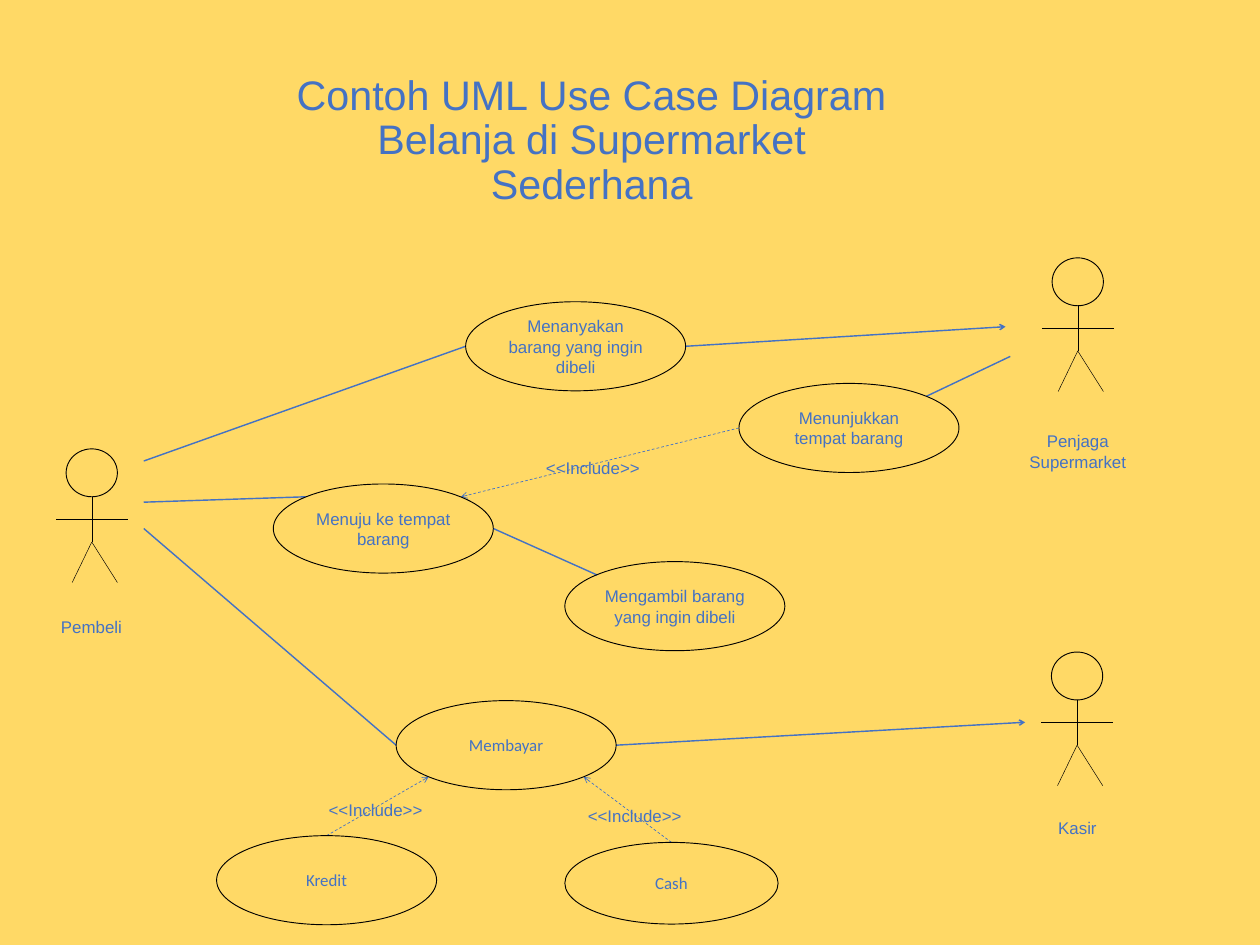
from lxml import etree
from pptx import Presentation
from pptx.dml.color import RGBColor
from pptx.enum.dml import MSO_LINE
from pptx.enum.shapes import MSO_CONNECTOR, MSO_SHAPE
from pptx.enum.text import MSO_ANCHOR, MSO_AUTO_SIZE, PP_ALIGN
from pptx.oxml.ns import qn
from pptx.util import Inches, Pt

STRAIGHT = MSO_CONNECTOR.STRAIGHT
OVAL = MSO_SHAPE.OVAL
LABEL_BOX = MSO_SHAPE.FLOWCHART_PROCESS
DASH = MSO_LINE.DASH
CENTER = PP_ALIGN.CENTER
MIDDLE = MSO_ANCHOR.MIDDLE
NO_AUTOFIT = MSO_AUTO_SIZE.NONE

YELLOW, BLUE, BLACK = "FFD966", "4472C4", "000000"


def rgb(hex_color):
    return RGBColor.from_string(hex_color)


def add_line(start, end, color, width, dashed=False, arrow=False):
    line = slide.shapes.add_connector(STRAIGHT, *map(Inches, start + end))
    line.line.color.rgb = rgb(color)
    line.line.width = Pt(width)
    if dashed:
        line.line.dash_style = DASH
    if arrow:
        outline = line._element.spPr.find(qn("a:ln"))
        etree.SubElement(outline, qn("a:tailEnd"), type="arrow")
    etree.SubElement(line._element.spPr, qn("a:effectLst"))


prs = Presentation()
prs.slide_width, prs.slide_height = Inches(18.67), Inches(14)
slide = prs.slides.add_slide(prs.slide_layouts[5])
slide.background.fill.solid()
slide.background.fill.fore_color.rgb = rgb(YELLOW)

title = slide.shapes.title
title.left, title.top = Inches(4.05), Inches(1.46)
title.width, title.height = Inches(9.44), Inches(1.27)
title.text_frame.text = "Contoh UML Use Case Diagram Belanja di Supermarket Sederhana"
title.text_frame.word_wrap = True
title.text_frame.auto_size = NO_AUTOFIT
title.text_frame.vertical_anchor = MIDDLE
heading = title.text_frame.paragraphs[0]
heading.alignment = CENTER
heading.line_spacing = 0.9
heading.font.name, heading.font.size = "Arial", Pt(44)
heading.font.color.rgb = rgb(BLUE)

# Actors: centre of the body and top of the head
for x, y in [(1.36, 6.65), (15.97, 3.82), (15.96, 9.66)]:
    head = slide.shapes.add_shape(
        OVAL, Inches(x - 0.38), Inches(y), Inches(0.76), Inches(0.71))
    head.shadow.inherit = False
    head.fill.solid()
    head.fill.fore_color.rgb = rgb(YELLOW)
    head.line.color.rgb = rgb(BLACK)
    head.line.width = Pt(1)
    hip = (x, y + 1.38)
    for start, end in [
        ((x, y + 0.71), hip),
        ((x - 0.53, y + 1.04), (x + 0.53, y + 1.04)),
        (hip, (x - 0.29, y + 1.98)),
        (hip, (x + 0.38, y + 1.98)),
    ]:
        add_line(start, end, BLACK, 0.5)

# Associations: start, end, arrow
for start, end, arrow in [
    ((2.13, 6.83), (6.9, 5.13), False),
    ((10.16, 5.13), (14.9, 4.84), True),
    ((13.73, 5.87), (14.97, 5.28), False),
    ((2.13, 7.44), (4.53, 7.36), False),
    ((7.31, 7.83), (8.85, 8.52), False),
    ((2.13, 7.83), (5.87, 11.04), False),
    ((9.13, 11.04), (15.19, 10.7), True),
]:
    add_line(start, end, BLUE, 1.5, arrow=arrow)

# Include relations
for start, end in [
    ((4.84, 12.38), (6.35, 11.51)),
    ((9.95, 12.48), (8.65, 11.51)),
    ((10.95, 6.34), (6.83, 7.36)),
]:
    add_line(start, end, BLUE, 0.75, dashed=True, arrow=True)

USE_CASE_SIZE = (3.26, 1.32)
INCLUDE_SIZE = (2.07, 0.65)
ACTOR_SIZE = (1.61, 0.44)
INCLUDE = "<<Include>>"

# Use cases and labels: text, kind, position, size, font
for text, kind, position, size, font_name in [
    ("Menanyakan barang yang ingin dibeli", OVAL, (6.9, 4.47), USE_CASE_SIZE, "Arial"),
    ("Menunjukkan tempat barang", OVAL, (10.95, 5.68), USE_CASE_SIZE, "Arial"),
    ("Menuju ke tempat barang", OVAL, (4.05, 7.17), USE_CASE_SIZE, "Arial"),
    ("Mengambil barang yang ingin dibeli", OVAL, (8.37, 8.32), USE_CASE_SIZE, "Arial"),
    ("Membayar", OVAL, (5.87, 10.38), USE_CASE_SIZE, "Calibri"),
    ("Kredit", OVAL, (3.21, 12.38), USE_CASE_SIZE, "Calibri"),
    ("Cash", OVAL, (8.37, 12.48), (3.16, 1.21), "Calibri"),
    ("Pembeli", LABEL_BOX, (0.55, 9.06), ACTOR_SIZE, "Arial"),
    ("Penjaga Supermarket", LABEL_BOX, (15.06, 6.2), (1.82, 0.97), "Arial"),
    ("Kasir", LABEL_BOX, (15.16, 12.04), ACTOR_SIZE, "Arial"),
    (INCLUDE, LABEL_BOX, (8.37, 11.76), INCLUDE_SIZE, "Arial"),
    (INCLUDE, LABEL_BOX, (4.53, 11.67), INCLUDE_SIZE, "Arial"),
    (INCLUDE, LABEL_BOX, (7.75, 6.61), INCLUDE_SIZE, "Arial"),
]:
    node = slide.shapes.add_shape(kind, *map(Inches, position + size))
    node.shadow.inherit = False
    node.fill.background()
    if kind == OVAL:
        node.line.color.rgb = rgb(BLACK)
        node.line.width = Pt(1)
    else:
        node.line.fill.background()
    node.text_frame.text = text
    node.text_frame.word_wrap = True
    node.text_frame.vertical_anchor = MIDDLE
    caption = node.text_frame.paragraphs[0]
    caption.alignment = CENTER
    caption.font.name, caption.font.size = font_name, Pt(18)
    caption.font.color.rgb = rgb(BLUE)

prs.save("out.pptx")
